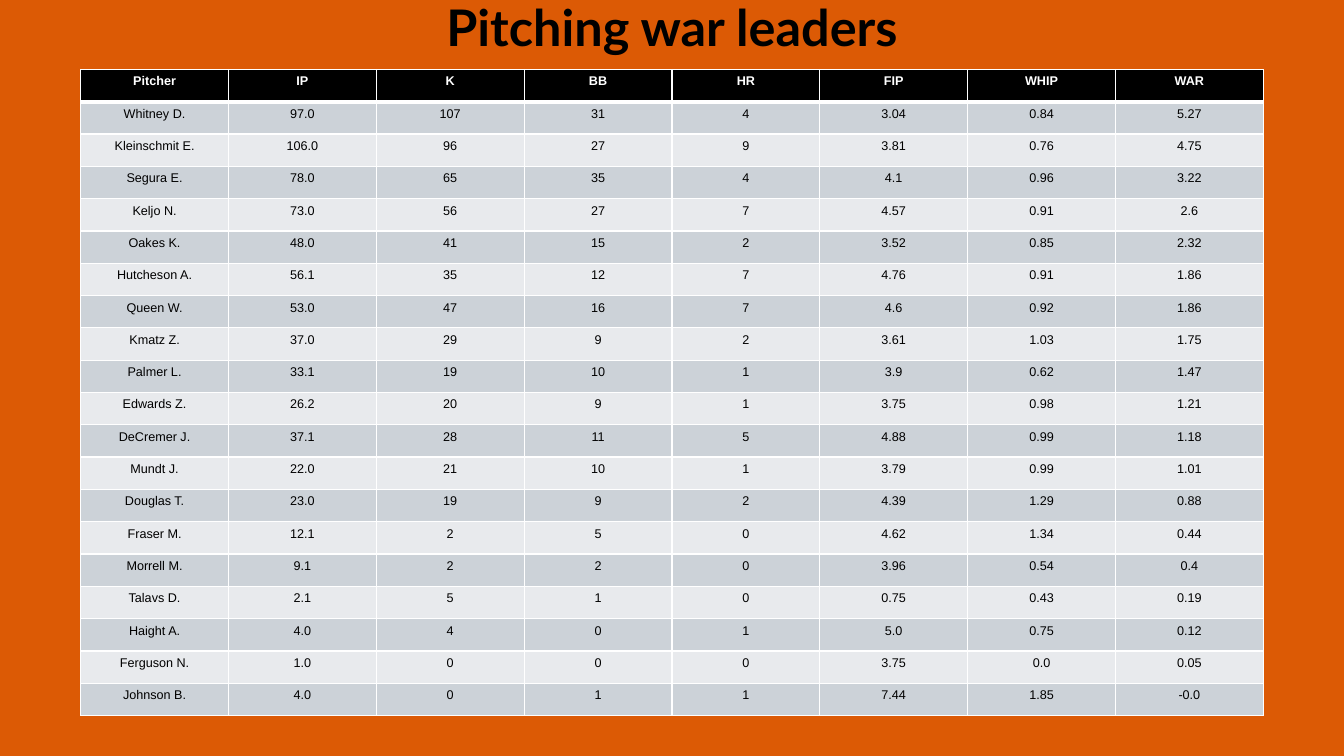
from dataclasses import astuple, dataclass

from lxml import etree
from pptx import Presentation, util as u
from pptx.dml.color import RGBColor
from pptx.enum import text
from pptx.oxml import ns

COLORS = {
    "background": "DC5A05",
    "header": "000000",
    "odd_row": "CCD2D8",
    "even_row": "E8EAED",
    "dark_text": "000000",
    "light_text": "FFFFFF",
    "border": "FFFFFF",
}

# Grid: a column is a share of the slide's width, a row a share of its height
SLIDE_WIDTH, SLIDE_HEIGHT = u.Inches(13.333), u.Inches(7.5)
COLUMN = round(SLIDE_WIDTH * 0.11)
ROW = round(SLIDE_HEIGHT / 23.4)


@dataclass
class Pitcher:
    name: str
    innings: str
    strikeouts: str
    walks: str
    home_runs: str
    fip: str
    whip: str
    war: str


HEADINGS = ("Pitcher", "IP", "K", "BB", "HR", "FIP", "WHIP", "WAR")
PITCHERS = [
    Pitcher("Whitney D.", "97.0", "107", "31", "4", "3.04", "0.84", "5.27"),
    Pitcher("Kleinschmit E.", "106.0", "96", "27", "9", "3.81", "0.76", "4.75"),
    Pitcher("Segura E.", "78.0", "65", "35", "4", "4.1", "0.96", "3.22"),
    Pitcher("Keljo N.", "73.0", "56", "27", "7", "4.57", "0.91", "2.6"),
    Pitcher("Oakes K.", "48.0", "41", "15", "2", "3.52", "0.85", "2.32"),
    Pitcher("Hutcheson A.", "56.1", "35", "12", "7", "4.76", "0.91", "1.86"),
    Pitcher("Queen W.", "53.0", "47", "16", "7", "4.6", "0.92", "1.86"),
    Pitcher("Kmatz Z.", "37.0", "29", "9", "2", "3.61", "1.03", "1.75"),
    Pitcher("Palmer L.", "33.1", "19", "10", "1", "3.9", "0.62", "1.47"),
    Pitcher("Edwards Z.", "26.2", "20", "9", "1", "3.75", "0.98", "1.21"),
    Pitcher("DeCremer J.", "37.1", "28", "11", "5", "4.88", "0.99", "1.18"),
    Pitcher("Mundt J.", "22.0", "21", "10", "1", "3.79", "0.99", "1.01"),
    Pitcher("Douglas T.", "23.0", "19", "9", "2", "4.39", "1.29", "0.88"),
    Pitcher("Fraser M.", "12.1", "2", "5", "0", "4.62", "1.34", "0.44"),
    Pitcher("Morrell M.", "9.1", "2", "2", "0", "3.96", "0.54", "0.4"),
    Pitcher("Talavs D.", "2.1", "5", "1", "0", "0.75", "0.43", "0.19"),
    Pitcher("Haight A.", "4.0", "4", "0", "1", "5.0", "0.75", "0.12"),
    Pitcher("Ferguson N.", "1.0", "0", "0", "0", "3.75", "0.0", "0.05"),
    Pitcher("Johnson B.", "4.0", "0", "1", "1", "7.44", "1.85", "-0.0"),
]


@dataclass
class RowStyle:
    fill: str
    font_color: str
    bold: bool = False
    bottom_border: float = 1


HEADER = RowStyle("header", "light_text", bold=True, bottom_border=3)
BANDS = (RowStyle("odd_row", "dark_text"), RowStyle("even_row", "dark_text"))


def rgb(name: str) -> RGBColor:
    return RGBColor.from_string(COLORS[name])


def write(frame, words: str, font: str, size: float, color: str, bold: bool) -> None:
    frame.text = words
    paragraph = frame.paragraphs[0]
    paragraph.alignment = text.PP_ALIGN.CENTER
    run_font = paragraph.runs[0].font
    run_font.name, run_font.size, run_font.bold = font, u.Pt(size), bold
    run_font.color.rgb = rgb(color)


def add_borders(cell, bottom: float) -> None:
    properties = cell._tc.get_or_add_tcPr()
    edges = {"a:lnL": 1, "a:lnR": 1, "a:lnT": 1, "a:lnB": bottom}
    # Borders come before the fill in the cell's properties
    for place, (edge, width) in enumerate(edges.items()):
        line = etree.Element(ns.qn(edge), w=str(u.Pt(width)))
        fill = etree.SubElement(line, ns.qn("a:solidFill"))
        etree.SubElement(fill, ns.qn("a:srgbClr"), val=COLORS["border"])
        properties.insert(place, line)


def fill_row(row, values: tuple, style: RowStyle) -> None:
    row.height = ROW
    for cell, value in zip(row.cells, values):
        write(cell.text_frame, value, "Arial", 9, style.font_color, style.bold)
        cell.fill.solid()
        cell.fill.fore_color.rgb = rgb(style.fill)
        add_borders(cell, style.bottom_border)


def add_title(slide, words: str) -> None:
    width = round(SLIDE_WIDTH * 0.45)
    title = slide.shapes.add_textbox(
        (SLIDE_WIDTH - width) // 2, round(-0.28 * ROW), width, round(2.22 * ROW)
    )
    title.text_frame.word_wrap = True
    title.text_frame.auto_size = text.MSO_AUTO_SIZE.SHAPE_TO_FIT_TEXT
    write(title.text_frame, words, "Lato", 36, "dark_text", True)


def add_leaders(slide, pitchers: list[Pitcher]) -> None:
    row_count, column_count = len(pitchers) + 1, len(HEADINGS)
    width = column_count * COLUMN
    leaders = slide.shapes.add_table(
        row_count, column_count,
        (SLIDE_WIDTH - width) // 2, round(2.15 * ROW), width, row_count * ROW,
    ).table
    fill_row(leaders.rows[0], HEADINGS, HEADER)
    for index, pitcher in enumerate(pitchers):
        fill_row(leaders.rows[index + 1], astuple(pitcher), BANDS[index % 2])


def main() -> None:
    deck = Presentation()
    deck.slide_width, deck.slide_height = SLIDE_WIDTH, SLIDE_HEIGHT
    slide = deck.slides.add_slide(deck.slide_layouts[6])

    # Background
    slide.background.fill.solid()
    slide.background.fill.fore_color.rgb = rgb("background")

    # Title and table of leaders
    add_title(slide, "Pitching war leaders")
    add_leaders(slide, PITCHERS)

    deck.save("out.pptx")


if __name__ == "__main__":
    main()
